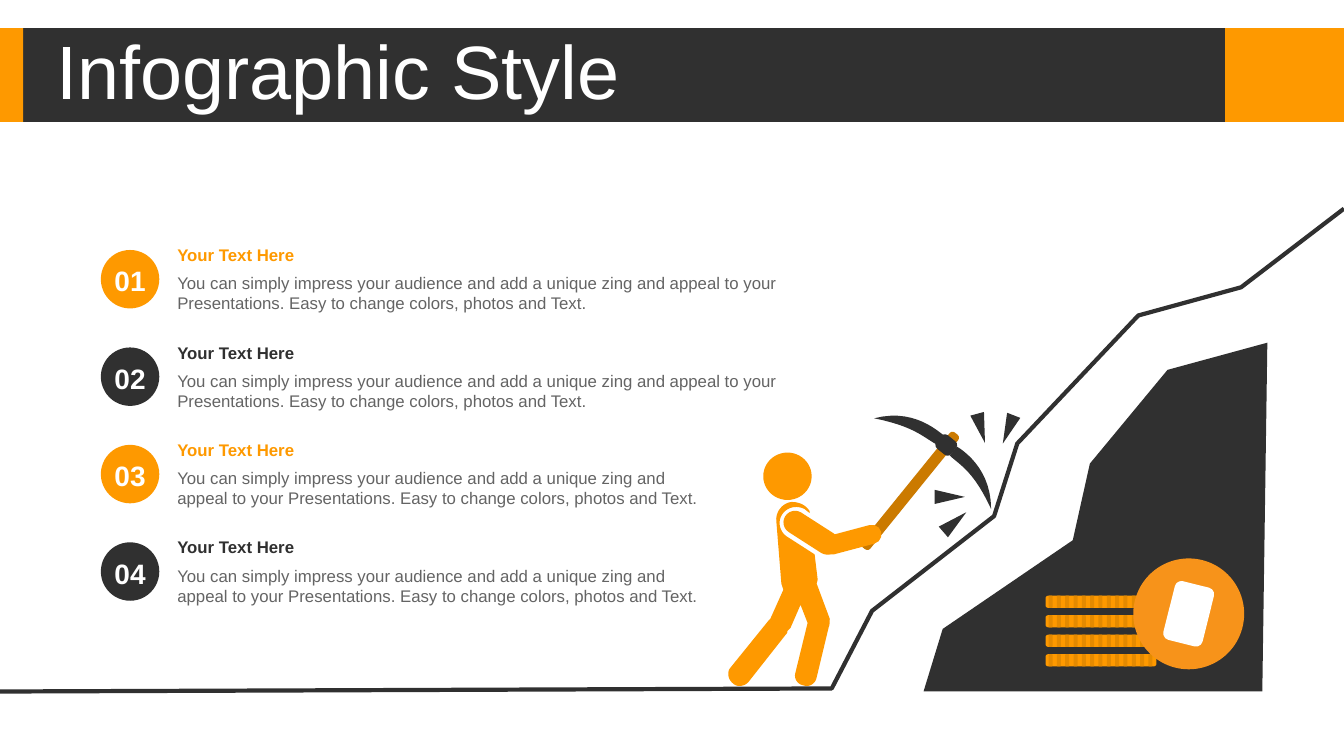
from dataclasses import dataclass

from pptx import Presentation
from pptx import util as u
from pptx.dml.color import RGBColor
from pptx.enum import shapes, text


@dataclass(frozen=True)
class Theme:
    font: str = "Arial"
    orange: str = "FE9900"
    dark: str = "303030"
    gray: str = "646464"
    white: str = "FFFFFF"
    wood: str = "CB7A00"
    ridge: str = "E58A00"
    coin: str = "F7931A"
    title_size: int = 54
    number_size: int = 20
    text_size: int = 12


theme = Theme()
kinds = shapes.MSO_SHAPE
presentation = Presentation()
presentation.slide_width = u.Inches(13.33)
presentation.slide_height = u.Inches(7.5)
slide = presentation.slides.add_slide(presentation.slide_layouts[5])


def add_filled(kind, left, top, width, height, color, rotation=0, corner=None):
    shape = slide.shapes.add_shape(
        kind, u.Inches(left), u.Inches(top), u.Inches(width), u.Inches(height))
    shape.shadow.inherit = False
    shape.fill.solid()
    shape.fill.fore_color.rgb = RGBColor.from_string(color)
    shape.line.fill.background()
    shape.rotation = rotation
    if corner is not None:
        shape.adjustments[0] = corner
    return shape


def add_outline(steps, fill=None, line=None):
    points = [steps[0]]
    for step in steps[1:]:
        if len(step) == 2:
            points.append(step)
            continue
        controls = [points[-1], step[:2], step[2:4], step[4:]]
        for part in range(1, 13):
            t = part / 12
            weights = [(1 - t) ** 3, 3 * t * (1 - t) ** 2, 3 * t * t * (1 - t), t ** 3]
            points.append(tuple(
                sum(weight * control[axis] for weight, control in zip(weights, controls))
                for axis in (0, 1)))
    vertices = [(u.Inches(x), u.Inches(y)) for x, y in points]
    builder = slide.shapes.build_freeform(*vertices[0])
    builder.add_line_segments(vertices[1:], close=fill is not None)
    shape = builder.convert_to_shape()
    shape.shadow.inherit = False
    if fill:
        shape.fill.solid()
        shape.fill.fore_color.rgb = RGBColor.from_string(fill)
        shape.line.fill.background()
    else:
        shape.fill.background()
        shape.line.color.rgb = RGBColor.from_string(line)
        shape.line.width = u.Pt(3)


for left, width, color in [
    (12.15, 1.18, theme.orange), (0, 12.15, theme.dark), (0, 0.23, theme.orange),
]:
    add_filled(kinds.RECTANGLE, left, 0.28, width, 0.93, color)

title = slide.shapes.title
title.element.getparent().append(title.element)
title.left, title.top = u.Inches(0.46), u.Inches(0.35)
title.width, title.height = u.Inches(9.7), u.Inches(0.79)
title.text_frame.text = "Infographic Style"
title.text_frame.auto_size = text.MSO_AUTO_SIZE.NONE
title.text_frame.vertical_anchor = text.MSO_ANCHOR.MIDDLE
paragraph = title.text_frame.paragraphs[0]
paragraph.alignment = text.PP_ALIGN.LEFT
paragraph.line_spacing = 0.9
paragraph.font.name = theme.font
paragraph.font.size = u.Pt(theme.title_size)
paragraph.font.color.rgb = RGBColor.from_string(theme.white)

heading = "Your Text Here"
description = (
    "You can simply impress your audience and add a unique zing and appeal to your "
    "Presentations. Easy to change colors, photos and Text."
)
item_pitch = 2.9 / 3
for index, text_width in enumerate([6.22, 6.22, 5.41, 5.41]):
    offset = index * item_pitch
    color = [theme.orange, theme.dark][index % 2]
    badge = add_filled(kinds.OVAL, 1, 2.48 + offset, 0.58, 0.58, color)
    frame = badge.text_frame
    frame.margin_left = frame.margin_right = frame.margin_bottom = 0
    frame.margin_top = u.Inches(0.03)
    frame.word_wrap = False
    frame.vertical_anchor = text.MSO_ANCHOR.MIDDLE
    frame.text = f"{index + 1:02}"
    paragraph = frame.paragraphs[0]
    paragraph.alignment = text.PP_ALIGN.CENTER
    paragraph.font.name = theme.font
    paragraph.font.size = u.Pt(theme.number_size)
    paragraph.font.bold = True
    paragraph.font.color.rgb = RGBColor.from_string(theme.white)

    for words, top, height, text_color, bold in [
        (heading, 2.38, 0.3, color, True),
        (description, 2.66, 0.5, theme.gray, False),
    ]:
        box = slide.shapes.add_textbox(
            u.Inches(1.66), u.Inches(top + offset), u.Inches(text_width), u.Inches(height))
        box.text_frame.word_wrap = True
        box.text_frame.text = words
        paragraph = box.text_frame.paragraphs[0]
        paragraph.font.name = theme.font
        paragraph.font.size = u.Pt(theme.text_size)
        paragraph.font.bold = bold
        paragraph.font.color.rgb = RGBColor.from_string(text_color)

add_outline([
    (0, 6.86), (8.25, 6.83), (8.65, 6.06), (9.86, 5.12), (10.09, 4.4),
    (11.29, 3.13), (12.31, 2.85), (13.33, 2.07),
], line=theme.dark)
add_outline([
    (12.57, 3.4), (11.58, 3.67), (10.81, 4.6), (10.64, 5.36),
    (9.35, 6.24), (9.16, 6.86), (12.52, 6.86),
], fill=theme.dark)

add_filled(kinds.ROUNDED_RECTANGLE, 8.97, 4.14, 0.11, 1.46, theme.wood, 39, 0.34)
add_filled(kinds.ROUNDED_RECTANGLE, 9.29, 4.33, 0.19, 0.17, theme.dark, 39, 0.28)
add_outline([
    (9.49, 4.43), (9.62, 4.51, 9.83, 4.7, 9.83, 5.05),
    (9.66, 4.68, 9.53, 4.62, 9.42, 4.52),
], fill=theme.dark)
add_outline([
    (9.36, 4.32), (9.24, 4.22, 9.01, 4.06, 8.67, 4.15),
    (9.07, 4.23, 9.16, 4.34, 9.29, 4.41),
], fill=theme.dark)

add_filled(kinds.OVAL, 7.57, 4.49, 0.48, 0.47, theme.orange)
add_outline([
    (7.85, 4.98), (7.93, 4.98, 7.99, 5.01, 8.03, 5.07), (8.03, 5.09), (7.98, 5.05),
    (7.9, 5.01, 7.81, 5.03, 7.76, 5.1), (7.71, 5.17, 7.73, 5.27, 7.8, 5.32),
    (8.08, 5.5), (8.11, 5.75), (8.1, 5.79), (8.23, 6.14),
    (8.23, 6.16, 8.23, 6.2, 8.22, 6.22), (8.1, 6.72),
    (8.09, 6.78, 8.03, 6.82, 7.97, 6.8), (7.91, 6.79, 7.87, 6.73, 7.89, 6.67),
    (8.01, 6.18), (7.94, 6), (7.84, 6.23), (7.81, 6.26),
    (7.81, 6.28, 7.8, 6.29, 7.79, 6.3), (7.42, 6.77),
    (7.38, 6.81, 7.31, 6.82, 7.27, 6.78), (7.22, 6.74, 7.21, 6.67, 7.24, 6.63),
    (7.62, 6.16), (7.64, 6.14), (7.77, 5.85), (7.75, 5.79), (7.7, 5.17),
    (7.69, 5.08, 7.76, 4.99, 7.85, 4.98),
], fill=theme.orange)
add_filled(kinds.ROUNDED_RECTANGLE, 7.93, 4.98, 0.23, 0.61, theme.orange, 302.7, 0.5)
add_filled(kinds.ROUNDED_RECTANGLE, 8.35, 5.05, 0.19, 0.61, theme.orange, 255.1, 0.5)

coin_pitch = 0.58 / 3
ridge_pitch = 0.99 / 12
for row in range(4):
    top = 6.49 - row * coin_pitch
    add_filled(kinds.ROUNDED_RECTANGLE, 10.37, top, 1.1, 0.12, theme.orange, corner=0.2)
    for column in range(13):
        add_filled(kinds.ROUNDED_RECTANGLE, 10.4 + column * ridge_pitch, top,
                   0.04, 0.12, theme.ridge, corner=0.2)

add_filled(kinds.OVAL, 11.24, 5.54, 1.1, 1.1, theme.coin)
add_filled(kinds.ROUNDED_RECTANGLE, 11.59, 5.79, 0.4, 0.6, theme.white, 14)

for left, top, rotation in [
    (9.4, 5.03, 49.3), (9.35, 4.78, 90), (9.66, 4.1, 165), (9.93, 4.11, 201.1),
]:
    add_filled(kinds.ISOSCELES_TRIANGLE, left, top, 0.14, 0.3, theme.dark, rotation)

presentation.save("out.pptx")
